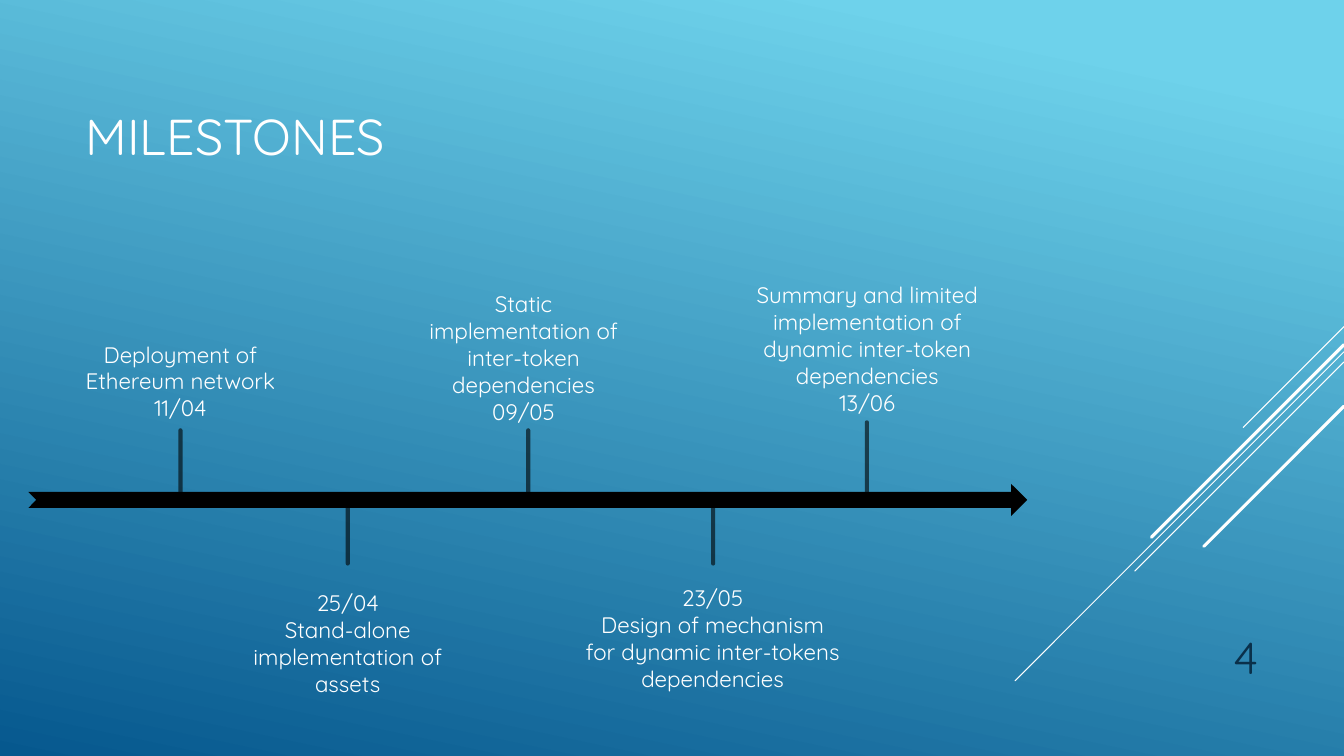
from lxml import etree
from pptx import Presentation
from pptx.dml.color import RGBColor
from pptx.enum.shapes import MSO_CONNECTOR, MSO_SHAPE
from pptx.enum.text import MSO_ANCHOR, PP_ALIGN
from pptx.oxml.ns import qn
from pptx.util import Pt

STRAIGHT = MSO_CONNECTOR.STRAIGHT
NOTCHED_ARROW = MSO_SHAPE.NOTCHED_RIGHT_ARROW
TOP, MIDDLE, BOTTOM = MSO_ANCHOR.TOP, MSO_ANCHOR.MIDDLE, MSO_ANCHOR.BOTTOM
LEFT, CENTER, RIGHT = PP_ALIGN.LEFT, PP_ALIGN.CENTER, PP_ALIGN.RIGHT

FONT = "Quicksand"
WHITE, BLACK, NAVY = "FFFFFF", "000000", "0A304A"
SLIDE_WIDTH, SLIDE_HEIGHT = 960, 540
AXIS_Y = 357.1

# start y on the right edge, horizontal and vertical run, weight
DIAGONALS = [
    (233.3, 72, 0.75),
    (251.3, 234.9, 0.75),
    (258.5, 149.4, 0.75),
    (246.2, 137.5, 2.25),
    (290.2, 100.1, 2.25),
]

# tick x, tick start y, tick end y, label centre, top, width, height, paragraphs
MILESTONES = [
    (128.9, AXIS_Y, 307.4, 128.9, 239.8, 155.5, 67.7,
     ["Deployment of Ethereum network", "11/04"]),
    (248.4, AXIS_Y, 402.5, 248.4, 417.6, 155.5, 85,
     ["25/04", "Stand-alone implementation of assets"]),
    (377.3, AXIS_Y, 307.4, 374, 203.8, 149, 104.4,
     ["Static implementation of inter-token dependencies", "09/05"]),
    (509.4, AXIS_Y, 402.5, 509, 414, 195.8, 85,
     ["23/05", "Design of mechanism for dynamic inter-tokens dependencies"]),
    (619.2, 351.4, 301.7, 619.5, 197.3, 189.4, 104.4,
     ["Summary and limited implementation of dynamic inter-token dependencies",
      "13/06"]),
]


def color(hex_value):
    return RGBColor.from_string(hex_value)


def paint_background(slide):
    fill = slide.background.fill
    fill.gradient()
    fill.gradient_angle = 258
    for stop, position, shade in zip(fill.gradient_stops, (0.1, 1), ("6ED2EB", "06588E")):
        stop.position = position
        stop.color.rgb = color(shade)


def add_line(slide, start, end, shade, weight, opacity=100):
    connector = slide.shapes.add_connector(STRAIGHT, *map(Pt, start + end))
    connector.line.color.rgb = color(shade)
    connector.line.width = Pt(weight)
    properties = connector.element.spPr
    outline = properties.find(qn("a:ln"))
    outline.set("cap", "rnd")
    if opacity < 100:
        shade_node = outline.find(".//" + qn("a:srgbClr"))
        etree.SubElement(shade_node, qn("a:alpha"), val=str(opacity * 1000))
    etree.SubElement(properties, qn("a:effectLst"))


def add_text(slide, box, paragraphs, size, shade=WHITE, align=CENTER, anchor=TOP):
    frame = slide.shapes.add_textbox(*map(Pt, box)).text_frame
    frame.word_wrap = True
    frame.vertical_anchor = anchor
    frame.text = "\n".join(paragraphs)
    for paragraph in frame.paragraphs:
        paragraph.alignment = align
        font = paragraph.runs[0].font
        font.name = FONT
        font.size = Pt(size)
        font.color.rgb = color(shade)


def add_time_axis(slide):
    axis = slide.shapes.add_shape(NOTCHED_ARROW, *map(Pt, (20.2, 345.6, 713.5, 23)))
    axis.shadow.inherit = False
    axis.fill.solid()
    axis.fill.fore_color.rgb = color(BLACK)
    axis.line.fill.background()


def add_milestone(slide, tick_x, start_y, end_y, center, top, width, height, paragraphs):
    add_line(slide, (tick_x, start_y), (tick_x, end_y), BLACK, 3, opacity=60)
    add_text(slide, (center - width / 2, top, width, height), paragraphs, 16)


def main():
    presentation = Presentation()
    presentation.slide_width = Pt(SLIDE_WIDTH)
    presentation.slide_height = Pt(SLIDE_HEIGHT)
    slide = presentation.slides.add_slide(presentation.slide_layouts[6])
    paint_background(slide)
    for y, run, weight in DIAGONALS:
        add_line(slide, (SLIDE_WIDTH, y), (SLIDE_WIDTH - run, y + run), WHITE, weight)
    add_time_axis(slide)
    for milestone in MILESTONES:
        add_milestone(slide, *milestone)
    add_text(slide, (54, 37.4, 671.8, 118.8), ["MILESTONES"], 36, align=LEFT, anchor=MIDDLE)
    add_text(slide, (815.8, 439.2, 90, 52.6), ["4"], 32, NAVY, RIGHT, BOTTOM)
    presentation.save("out.pptx")


main()
